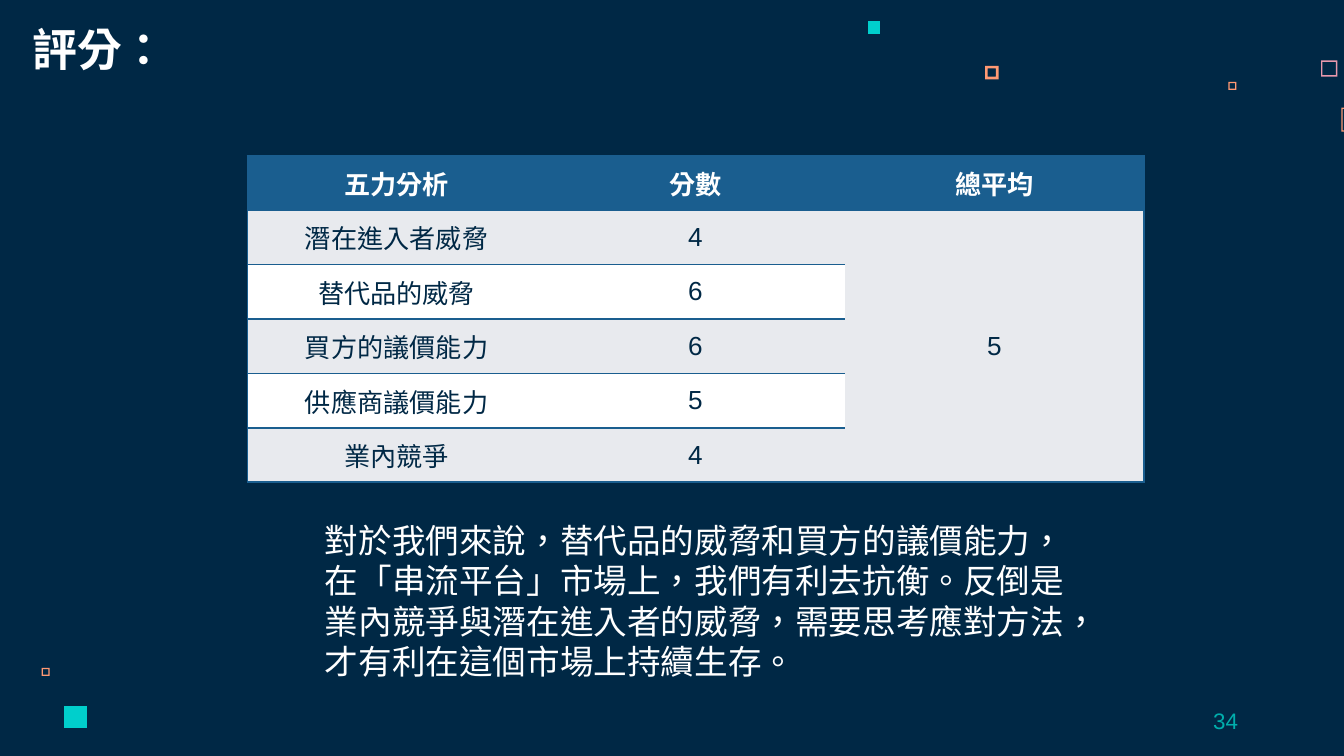
"""Builds the five forces score slide."""
import pptx
import pptx.util
import pptx.dml.color
import pptx.enum.lang
import pptx.enum.text
import pptx.oxml
from lxml import etree

Inches = pptx.util.Inches
ALIGN = pptx.enum.text.PP_ALIGN
ANCHOR = pptx.enum.text.MSO_ANCHOR
LANG = pptx.enum.lang.MSO_LANGUAGE_ID.TRADITIONAL_CHINESE

COLORS = {
    "navy": "002845", "blue": "1A5E8F", "gray": "E8EAEE", "white": "FFFFFF",
    "pink": "E898AC", "orange": "FF9973", "cyan": "00CFCC", "teal": "00AEAC",
}
TITLE = "評分："
NUMBER = "34"
NOTE = ("對於我們來說，替代品的威脅和買方的議價能力，在「串流平台」市場上，"
        "我們有利去抗衡。反倒是業內競爭與潛在進入者的威脅，需要思考應對方法，"
        "才有利在這個市場上持續生存。")
ROWS = [
    ("五力分析", "分數", "總平均"),
    ("潛在進入者威脅", "4", "5"),
    ("替代品的威脅", "6", ""),
    ("買方的議價能力", "6", ""),
    ("供應商議價能力", "5", ""),
    ("業內競爭", "4", ""),
]
FRAMES = [
    (9.83, 0.45, 0.12, "pink", 0.01),
    (9.14, 0.61, 0.06, "orange", 0.01),
    (9.98, 0.8, 0.18, "orange", 0.01),
    (7.33, 0.49, 0.1, "orange", 0.02),
    (0.31, 4.97, 0.06, "orange", 0.01),
]
BLOCKS = [(6.46, 0.16, 0.09, "cyan"), (0.48, 5.25, 0.17, "cyan")]


def rgb(name):
    return pptx.dml.color.RGBColor.from_string(COLORS[name])


def paint(fill, name):
    fill.solid()
    fill.fore_color.rgb = rgb(name)


def corners(x, y, size):
    ends = [(x, y), (x, y + size), (x + size, y + size), (x + size, y)]
    return [(Inches(a), Inches(b)) for a, b in ends]


def square(slide, x, y, size, color, edge=0):
    outer = corners(x, y, size)
    pen = slide.shapes.build_freeform(*outer[0])
    pen.add_line_segments(outer[1:])
    if edge:
        inner = corners(x + edge, y + edge, size - 2 * edge)[::-1]
        pen.move_to(*inner[0])
        pen.add_line_segments(inner[1:])
    shape = pen.convert_to_shape()
    shape.shadow.inherit = False
    paint(shape.fill, color)
    shape.line.fill.background()


def write(frame, text, size, color, bold=False, align=ALIGN.LEFT):
    frame.text = text
    para = frame.paragraphs[0]
    para.alignment = align
    for run in para.runs:
        font = run.font
        font.name, font.size, font.bold = "Arial", pptx.util.Pt(size), bold
        font.color.rgb = rgb(color)
        font.language_id = LANG


def label(slide, box, anchor, *style):
    shape = slide.shapes.add_textbox(*map(Inches, box))
    frame = shape.text_frame
    frame.word_wrap = True
    frame.vertical_anchor = anchor
    write(frame, *style)
    return frame


def border(cell, sides):
    props = cell._tc.get_or_add_tcPr()
    for side in "LRTB":
        line = etree.SubElement(props, pptx.oxml.ns.qn(f"a:ln{side}"), w="12700")
        if side in sides:
            fill = etree.SubElement(line, pptx.oxml.ns.qn("a:solidFill"))
            etree.SubElement(fill, pptx.oxml.ns.qn("a:srgbClr"), val=COLORS["blue"])
        else:
            etree.SubElement(line, pptx.oxml.ns.qn("a:noFill"))


def scores(slide):
    count, width = len(ROWS), len(ROWS[0])
    box = map(Inches, (1.84, 1.16, 6.67, 2.43))
    table = slide.shapes.add_table(count, width, *box).table
    table.horz_banding = False
    table.cell(1, 2).merge(table.cell(count - 1, 2))
    for r, row in enumerate(ROWS):
        for c, text in enumerate(row):
            cell = table.cell(r, c)
            sides = "" if cell.is_spanned else "TB"
            sides += {0: "L", width - 1: "R"}.get(c, "")
            if r == count - 1:
                sides += "B"
            border(cell, sides)
            head = r == 0
            band = "gray" if r % 2 or c == width - 1 else "white"
            paint(cell.fill, "blue" if head else band)
            cell.vertical_anchor = ANCHOR.MIDDLE
            write(cell.text_frame, text, 14, "white" if head else "navy",
                  head, ALIGN.CENTER)


def main():
    deck = pptx.Presentation()
    deck.slide_width = Inches(10)
    deck.slide_height = deck.slide_width * 9 // 16
    slide = deck.slides.add_slide(deck.slide_layouts[5])
    paint(slide.background.fill, "navy")
    for item in FRAMES + BLOCKS:
        square(slide, *item)

    title = slide.shapes.title
    title.left, title.top, title.width, title.height = map(
        Inches, (0.14, 0.12, 2.3, 0.54))
    frame = title.text_frame
    frame.auto_size = pptx.enum.text.MSO_AUTO_SIZE.NONE
    frame.vertical_anchor = ANCHOR.BOTTOM
    frame.margin_left = frame.margin_right = Inches(0.1)
    frame.margin_top = frame.margin_bottom = Inches(0.1)
    write(frame, TITLE, 24, "white", True)

    label(slide, (7.06, 5.21, 2.25, 0.3), ANCHOR.MIDDLE,
          NUMBER, 12, "teal", False, ALIGN.RIGHT)
    note = label(slide, (2.32, 3.82, 5.87, 1.31), ANCHOR.TOP, NOTE, 18, "white")
    note.auto_size = pptx.enum.text.MSO_AUTO_SIZE.SHAPE_TO_FIT_TEXT
    scores(slide)
    deck.save("out.pptx")


if __name__ == "__main__":
    main()
